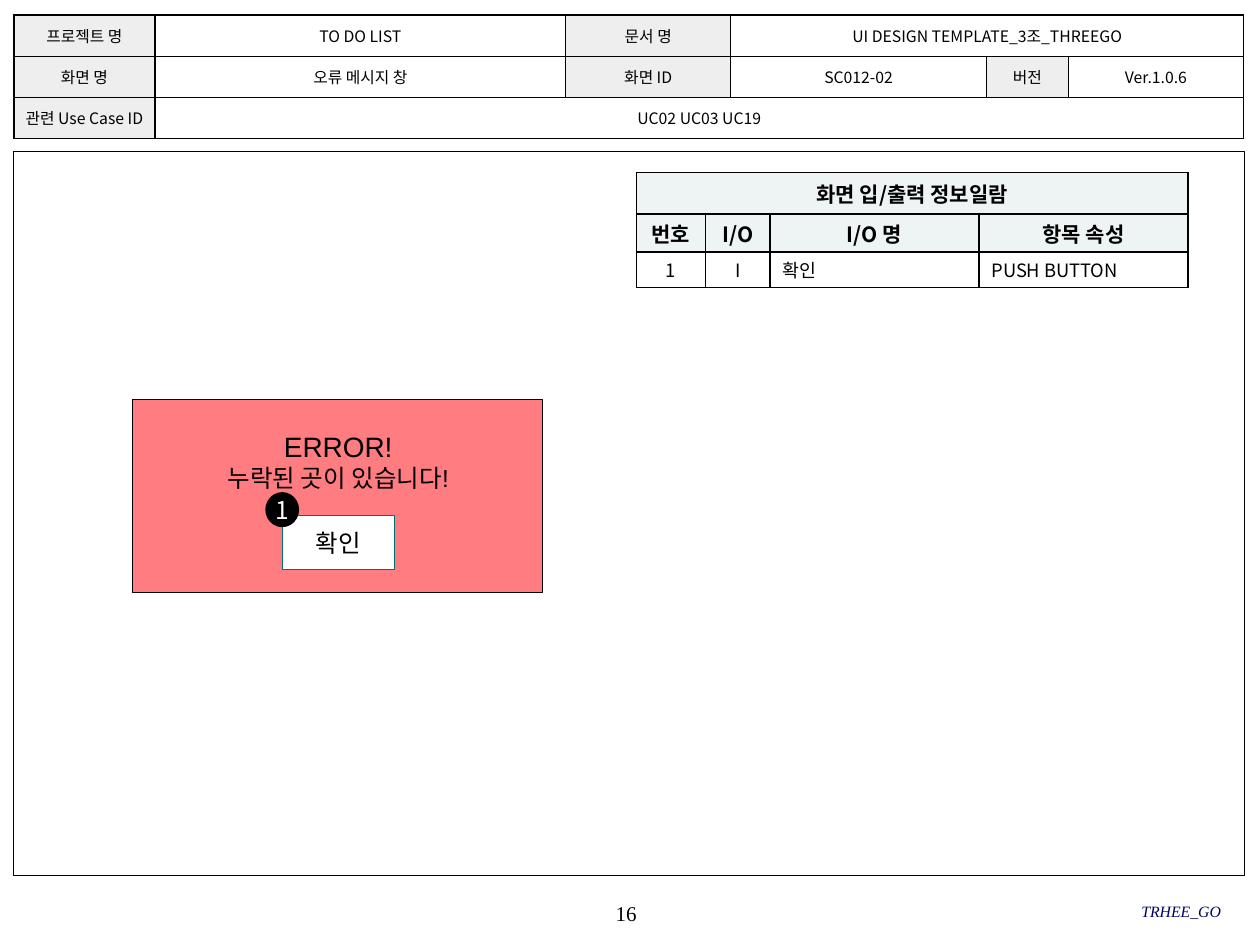
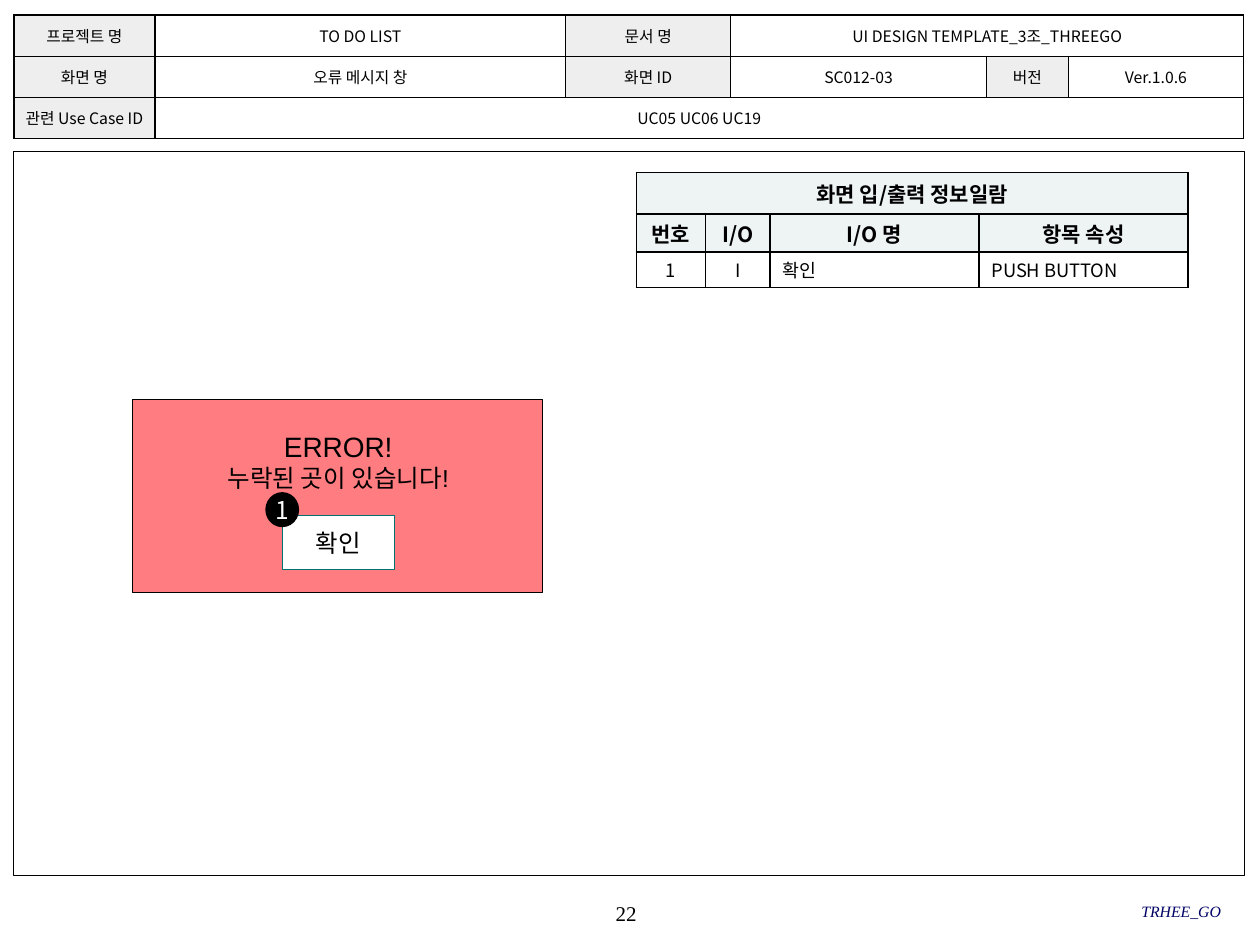
from lxml import etree
from pptx import Presentation
from pptx.dml.color import RGBColor
from pptx.enum.shapes import MSO_SHAPE
from pptx.enum.text import MSO_ANCHOR, MSO_AUTO_SIZE, PP_ALIGN
from pptx.oxml.ns import qn
from pptx.util import Inches, Pt

RECT, OVAL = MSO_SHAPE.RECTANGLE, MSO_SHAPE.OVAL
LEFT, CENTER, RIGHT = PP_ALIGN.LEFT, PP_ALIGN.CENTER, PP_ALIGN.RIGHT
TOP, MIDDLE = MSO_ANCHOR.TOP, MSO_ANCHOR.MIDDLE

THEME = {
    "black": "000000", "white": "FFFFFF", "error": "FF7C80", "button": "007171",
    "label": "EEEEEE", "io_head": "EEF4F4", "team": "000066",
    "sans": "Noto Sans CJK KR", "serif": "Times New Roman", "arial": "Arial",
    "label_size": 9, "io_head_size": 12, "io_size": 10.5, "page_size": 12,
    "error_size": 16, "message_size": 14,
}
T = THEME


def write(tf, lines, align=CENTER, anchor=MIDDLE, margins=(0.1, 0.05), wrap=True):
    """Fill a text frame; lines is a list of (text, font format)."""
    formats = {"vertical_anchor": anchor, "word_wrap": wrap,
               "margin_left": Inches(margins[0]), "margin_right": Inches(margins[0]),
               "margin_top": Inches(margins[1]), "margin_bottom": Inches(margins[1])}
    for name, value in formats.items():
        setattr(tf, name, value)
    for i, (text, font) in enumerate(lines):
        p = tf.add_paragraph() if i else tf.paragraphs[0]
        p.alignment = align
        r = p.add_run()
        r.text = text
        look = {"name": T["sans"], "bold": False, "italic": False, **font}
        r.font.color.rgb = RGBColor.from_string(look.pop("color", T["black"]))
        look["size"] = Pt(look["size"])
        for name, value in look.items():
            setattr(r.font, name, value)
        etree.SubElement(r.font._element, qn("a:ea"), typeface=T["sans"])


def add_grid(s, at, cols, rows, cells, margins):
    """Bordered table; cells is a list of (row, col, span, text, fill, align, font)."""
    tbl = s.shapes.add_table(len(rows), len(cols), *map(Inches, at)).table
    tbl.first_row = tbl.horz_banding = False
    for lines, sizes, name in ((tbl.columns, cols, "width"), (tbl.rows, rows, "height")):
        for line, size in zip(lines, sizes):
            setattr(line, name, Inches(size))
    for cell in tbl.iter_cells():
        tcPr = cell._tc.get_or_add_tcPr()
        for side in ("a:lnL", "a:lnR", "a:lnT", "a:lnB"):
            ln = etree.SubElement(tcPr, qn(side), w=str(Pt(1)))
            fill = etree.SubElement(ln, qn("a:solidFill"))
            etree.SubElement(fill, qn("a:srgbClr"), val=T["black"])
        cell.fill.background()
    for row, col, span, text, color, align, font in cells:
        cell = tbl.cell(row, col)
        if span > 1:
            cell.merge(tbl.cell(row, col + span - 1))
        if color:
            cell.fill.solid()
            cell.fill.fore_color.rgb = RGBColor.from_string(color)
        write(cell.text_frame, [(text, font)], align)
        cell.vertical_anchor = MIDDLE
        cell.margin_left = cell.margin_right = Inches(margins[0])
        cell.margin_top = cell.margin_bottom = Inches(margins[1])


prs = Presentation()
prs.slide_width, prs.slide_height = Inches(10), Inches(7.5)

# What differs between the screens: page, screen ID, use cases
screens = [("16", "SC012-02", "UC02 UC03 UC19"),
           ("22", "SC012-03", "UC05 UC06 UC19")]

# Input/output table: two header rows, one item row
io_head = {"size": T["io_head_size"], "bold": True}
io_cells = [(0, 0, 4, "화면 입/출력 정보일람", T["io_head"], CENTER, io_head)]
for col, (head, item) in enumerate([("번호", "1"), ("I/O", "I"), ("I/O 명", "확인"),
                                    ("항목 속성", "PUSH BUTTON")]):
    io_cells.append((1, col, 1, head, T["io_head"], CENTER, io_head))
    io_cells.append((2, col, 1, item, T["white"], CENTER if col < 2 else LEFT,
                     {"size": T["io_size"]}))

message = {"size": T["message_size"]}
error_lines = [("ERROR!", {"size": T["error_size"], "name": T["arial"]}),
               ("누락된 곳이 있습니다!", {**message, "name": T["arial"]})]

# Shapes: in dialog, kind, place, fill, line, line width, lines of text, text layout
shapes = [
    (False, RECT, (0.11, 1.2, 9.77, 5.75), None, "black", 0.75, [], {}),
    (True, RECT, (1.05, 3.17, 3.26, 1.53), "error", "black", 0.5, [], {}),
    (True, RECT, (2.24, 4.09, 0.89, 0.43), "white", "button", 0.5,
     [("확인", message)], {}),
    (True, RECT, (1.21, 3.36, 2.95, 0.61), "error", None, 0, error_lines, {"anchor": TOP}),
    (False, OVAL, (2.12, 3.92, 0.24, 0.25), "black", "black", 2,
     [("1", {**message, "color": T["white"]})], {"wrap": False}),
]

for page, screen_id, use_cases in screens:
    s = prs.slides.add_slide(prs.slide_layouts[6])

    # Footer: page number and team name
    footers = [((3.93, 7.08, 2.08, 0.33), CENTER, page, {"size": T["page_size"]}),
               ((6.63, 7.07, 3.06, 0.33), RIGHT, "TRHEE_GO",
                {"size": T["label_size"], "italic": True, "color": T["team"]})]
    for at, align, text, font in footers:
        sp = s.shapes.add_textbox(*map(Inches, at))
        write(sp.text_frame, [(text, {**font, "name": T["serif"]})], align, margins=(0, 0))

    # Frame, error dialog and numbered marker
    dialog = None
    for in_dialog, kind, at, fill, line, width, lines, layout in shapes:
        if in_dialog and dialog is None:
            dialog = s.shapes.add_group_shape()
        owner = dialog if in_dialog else s
        sp = owner.shapes.add_shape(kind, *map(Inches, at))
        sp.shadow.inherit = False
        for part, color in ((sp.fill, fill), (sp.line.fill, line)):
            if color:
                part.solid()
                part.fore_color.rgb = RGBColor.from_string(T[color])
            else:
                part.background()
        if line:
            sp.line.width = Pt(width)
        if lines:
            write(sp.text_frame, lines, **layout)
        if lines is error_lines:
            sp.text_frame.auto_size = MSO_AUTO_SIZE.SHAPE_TO_FIT_TEXT

    add_grid(s, (5.05, 1.37, 4.39, 0.9), [0.55, 0.51, 1.66, 1.66], [0.33, 0.3, 0.28],
             io_cells, (0.1, 0.03))

    # Document header: labels and values alternate along each row
    header_rows = [
        [("프로젝트 명", 1), ("TO DO LIST", 1), ("문서 명", 1),
         ("UI DESIGN TEMPLATE_3조_THREEGO", 3)],
        [("화면 명", 1), ("오류 메시지 창", 1), ("화면 ID", 1), (screen_id, 1),
         ("버전", 1), ("Ver.1.0.6", 1)],
        [("관련 Use Case ID", 1), (use_cases, 5)],
    ]
    header_cells = [(row, col, span, text, None if col % 2 else T["label"], CENTER,
                     {"size": T["label_size"]})
                    for row, texts in enumerate(header_rows)
                    for col, (text, span) in enumerate(texts)]
    add_grid(s, (0.11, 0.12, 9.77, 0.98), [1.12, 3.26, 1.31, 2.03, 0.65, 1.39],
             [0.98 / 3] * 3, header_cells, (0.04, 0.02))

prs.save("out.pptx")
